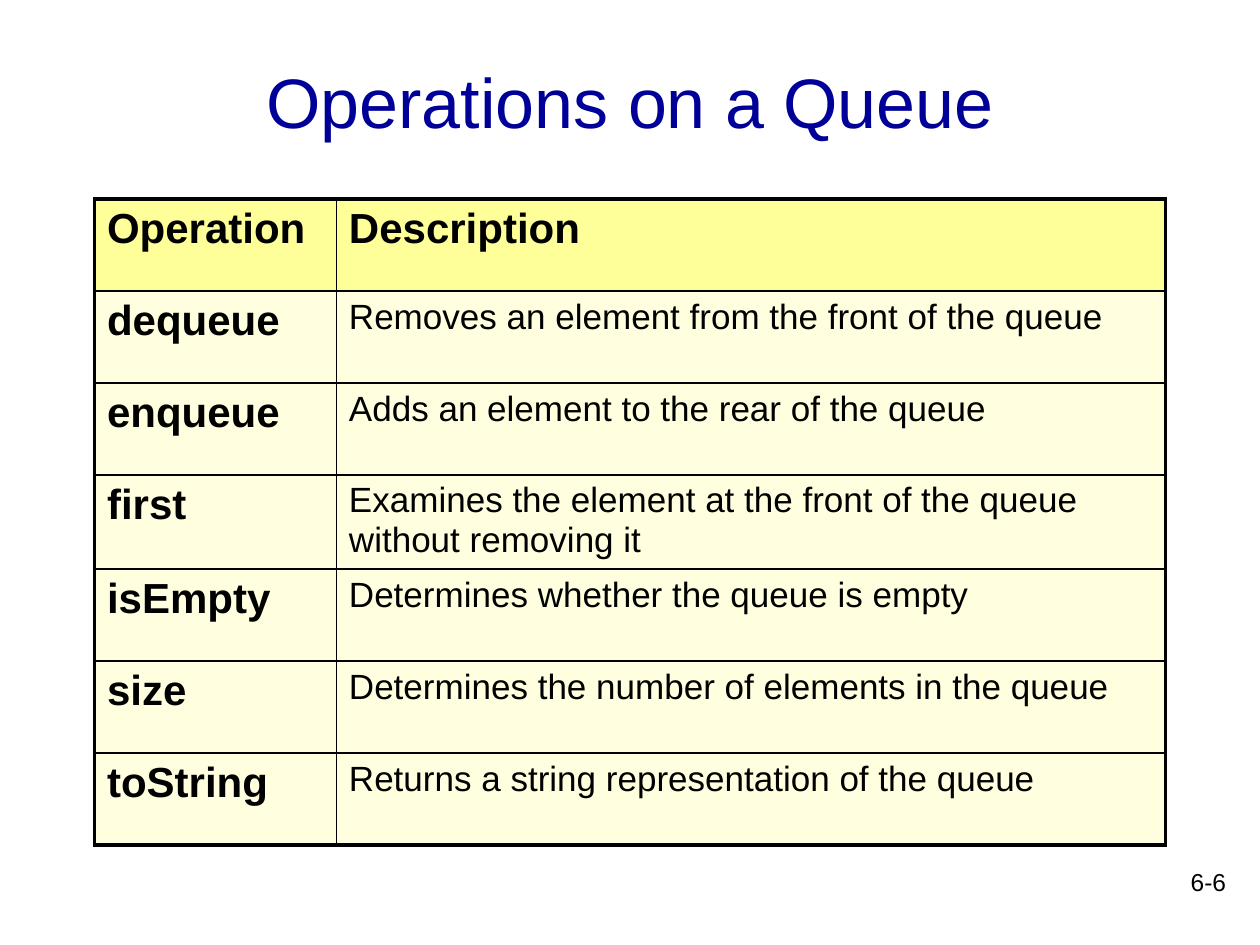
from lxml import etree
from pptx import Presentation
from pptx.dml.color import RGBColor
from pptx.enum.text import MSO_ANCHOR, PP_ALIGN
from pptx.oxml.ns import qn
from pptx.util import Inches, Pt

LEFT, CENTER, RIGHT = PP_ALIGN.LEFT, PP_ALIGN.CENTER, PP_ALIGN.RIGHT
TOP, MIDDLE = MSO_ANCHOR.TOP, MSO_ANCHOR.MIDDLE
THIN, THICK = Pt(1), Pt(2.25)

ROWS = [
    ("Operation", "Description"),
    ("dequeue", "Removes an element from the front of the queue"),
    ("enqueue", "Adds an element to the rear of the queue"),
    ("first", "Examines the element at the front of the queue without removing it"),
    ("isEmpty", "Determines whether the queue is empty"),
    ("size", "Determines the number of elements in the queue"),
    ("toString", "Returns a string representation of the queue"),
]
COL_WIDTHS = [1.92, 6.58]
ROW_HEIGHT = 0.73


def write(tf, text, size=20, bold=False, color="000000", align=LEFT, anchor=TOP):
    tf.word_wrap = True
    tf.vertical_anchor = anchor
    p = tf.paragraphs[0]
    p.alignment = align
    r = p.add_run()
    r.text = text
    r.font.name = "Arial"
    r.font.size = Pt(size)
    r.font.bold = bold
    r.font.color.rgb = RGBColor.from_string(color)


def add_border(cell, side, width, color="000000"):
    """Call for sides L, R, T, B in that order and before the cell fill."""
    tc_pr = cell._tc.get_or_add_tcPr()
    ln = etree.SubElement(tc_pr, qn(f"a:ln{side}"), w=str(width))
    fill = etree.SubElement(ln, qn("a:solidFill"))
    etree.SubElement(fill, qn("a:srgbClr"), val=color)


prs = Presentation()
prs.slide_width, prs.slide_height = Inches(10), Inches(7.5)
s = prs.slides.add_slide(prs.slide_layouts[6])

number = s.shapes.add_textbox(Inches(7.75), Inches(6.83), Inches(2.08), Inches(0.5))
write(number.text_frame, "6-6", size=14, align=RIGHT)

title = s.shapes.add_textbox(Inches(0.75), Inches(0.17), Inches(8.5), Inches(1.25))
write(title.text_frame, "Operations on a Queue", size=40, color="000099",
      align=CENTER, anchor=MIDDLE)

frame = s.shapes.add_table(len(ROWS), len(COL_WIDTHS), Inches(0.75), Inches(1.58),
                           Inches(sum(COL_WIDTHS)), Inches(ROW_HEIGHT * len(ROWS)))
table = frame.table
table.first_row = table.horz_banding = False
for column, width in zip(table.columns, COL_WIDTHS):
    column.width = Inches(width)

last_row, last_col = len(ROWS) - 1, len(COL_WIDTHS) - 1
for i, row in enumerate(ROWS):
    table.rows[i].height = Inches(ROW_HEIGHT)
    for j, text in enumerate(row):
        cell = table.cell(i, j)
        cell.margin_bottom = Inches(0.03)
        outer = {"L": j == 0, "R": j == last_col, "T": i == 0, "B": i == last_row}
        for side, is_outer in outer.items():
            add_border(cell, side, THICK if is_outer else THIN)
        cell.fill.solid()
        cell.fill.fore_color.rgb = RGBColor.from_string("FFFF99" if i == 0 else "FFFFDF")
        heading = i == 0 or j == 0
        write(cell.text_frame, text, size=24 if heading else 20, bold=heading)

prs.save("out.pptx")
